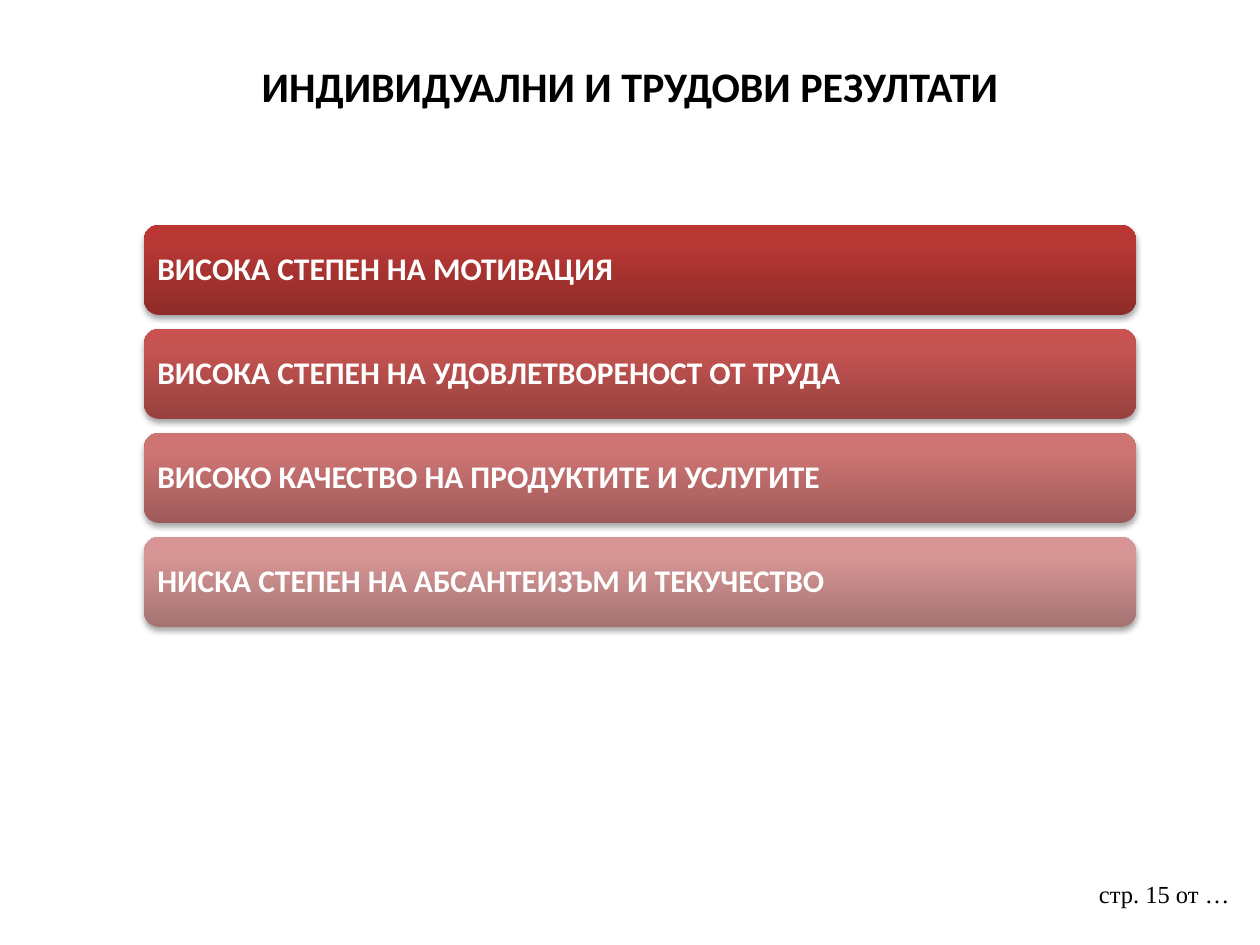
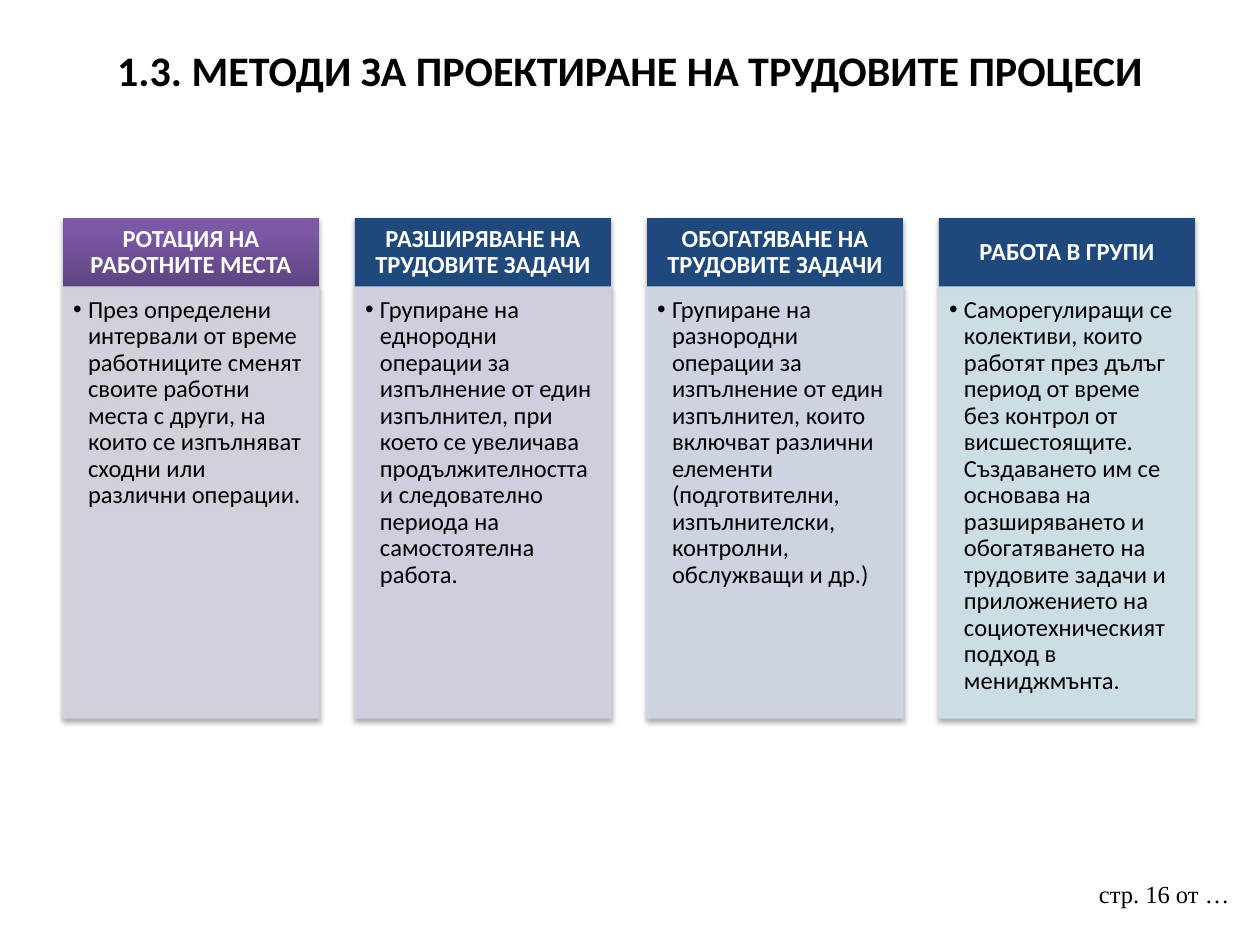
from copy import deepcopy
from dataclasses import dataclass

from lxml.etree import SubElement
from pptx import Presentation
from pptx.dml.color import RGBColor
from pptx.enum.shapes import MSO_SHAPE as Preset
from pptx.enum.text import MSO_ANCHOR as Anchor, PP_ALIGN as Align
from pptx.oxml.ns import qn
from pptx.util import Emu, Pt

EMU_PER_PX = 914400 / 126


@dataclass(frozen=True)
class Theme:
    heading_font: str = "Calibri"
    page_font: str = "Times New Roman"
    black: str = "000000"
    white: str = "FFFFFF"
    navy: str = "1F497D"
    purple: tuple = ("5F4480", "7B58A6", "7C57A8")
    reds: tuple = (
        ("8E2B28", "B83835", "BB3632"),
        ("98413F", "C55451", "C95250"),
        ("9E5A59", "CE7574", "D07472"),
        ("A57373", "D79695", "D99594"),
    )
    tints: tuple = ("D8D3E0", "D2D2E4", "D1D8E7", "D0E3EA")
    title_size: int = 24
    result_size: int = 18
    method_size: int = 14
    page_size: int = 14
    line_spacing: float = 0.9
    tint_opacity: int = 90


THEME = Theme()

RESULTS = (
    "ВИСОКА СТЕПЕН НА МОТИВАЦИЯ",
    "ВИСОКА СТЕПЕН НА УДОВЛЕТВОРЕНОСТ ОТ ТРУДА",
    "ВИСОКО КАЧЕСТВО НА ПРОДУКТИТЕ И УСЛУГИТЕ",
    "НИСКА СТЕПЕН НА АБСАНТЕИЗЪМ И ТЕКУЧЕСТВО",
)

METHODS = (
    ("РОТАЦИЯ НА РАБОТНИТЕ МЕСТА",
     "През определени интервали от време работниците сменят своите работни "
     "места с други, на които се изпълняват сходни или различни операции."),
    ("РАЗШИРЯВАНЕ НА ТРУДОВИТЕ ЗАДАЧИ",
     "Групиране на еднородни операции за изпълнение от един изпълнител, при "
     "което се увеличава продължителността и следователно периода на "
     "самостоятелна работа."),
    ("ОБОГАТЯВАНЕ НА ТРУДОВИТЕ ЗАДАЧИ",
     "Групиране на разнородни операции за изпълнение от един изпълнител, които "
     "включват различни елементи (подготвителни, изпълнителски, контролни, "
     "обслужващи и др.)"),
    ("РАБОТА В ГРУПИ",
     "Саморегулиращи се колективи, които работят през дълъг период от време "
     "без контрол от висшестоящите. Създаването им се основава на "
     "разширяването и обогатяването на трудовите задачи и приложението на "
     "социотехническият подход в мениджмънта."),
)


def px(length):
    return Emu(round(length * EMU_PER_PX))


def rgb(color):
    return RGBColor.from_string(color)


def write(holder, text, size, color=THEME.black, font=THEME.heading_font, bold=False,
          align=Align.LEFT, anchor=Anchor.TOP, insets=(13, 6, 13, 6),
          spacing=1.0, bulleted=False):
    frame = holder.text_frame
    frame.word_wrap = True
    frame.vertical_anchor = anchor
    (frame.margin_left, frame.margin_top,
     frame.margin_right, frame.margin_bottom) = map(px, insets)
    paragraph = frame.paragraphs[0]
    if bulleted:
        add_bullet(paragraph)
    paragraph.alignment = align
    paragraph.line_spacing = spacing
    run = paragraph.add_run()
    run.text = text
    run.font.name = font
    run.font.size = Pt(size)
    run.font.bold = bold
    run.font.color.rgb = rgb(color)


def add_bullet(paragraph, hang=15):
    properties = paragraph._p.get_or_add_pPr()
    properties.set("marL", str(px(hang)))
    properties.set("indent", str(-px(hang)))
    SubElement(properties, qn("a:buFont"), typeface="Arial")
    SubElement(properties, qn("a:buChar"), char="•")


def add_shadow(panel):
    panel.shadow.inherit = False
    effects = panel._element.spPr.find(qn("a:effectLst"))
    shadow = SubElement(effects, qn("a:outerShdw"), blurRad=str(Pt(3.1)),
                        dist=str(Pt(1.8)), dir="5400000", rotWithShape="0")
    color = SubElement(shadow, qn("a:srgbClr"), val=THEME.black)
    SubElement(color, qn("a:alpha"), val="35000")


def fill_gradient(panel, colors):
    panel.fill.gradient()
    panel.fill.gradient_angle = 90
    stops = panel._element.spPr.find(qn("a:gradFill")).find(qn("a:gsLst"))
    stops.append(deepcopy(stops[-1]))
    for stop, color, position in zip(panel.fill.gradient_stops, colors, (0, 0.8, 1)):
        stop.color.rgb = rgb(color)
        stop.position = position


def make_translucent(panel, opacity):
    for color in panel._element.spPr.iter(qn("a:srgbClr")):
        SubElement(color, qn("a:alpha"), val=str(opacity * 1000))


def add_panel(slide, preset, box, paint):
    panel = slide.shapes.add_shape(preset, *map(px, box))
    if isinstance(paint, tuple):
        fill_gradient(panel, paint)
    else:
        panel.fill.solid()
        panel.fill.fore_color.rgb = rgb(paint)
    panel.line.fill.background()
    return panel


def add_label(slide, box, text, size, **style):
    write(slide.shapes.add_textbox(*map(px, box)), text, size, **style)


def add_page(deck, title, title_top, title_height, number):
    slide = deck.slides.add_slide(deck.slide_layouts[6])
    add_label(slide, (1086, 873, 164, 66), f"стр. {number} от …",
              THEME.page_size, font=THEME.page_font)
    add_label(slide, (63, title_top, 1134, title_height), title,
              THEME.title_size, bold=True, align=Align.CENTER)
    return slide


def add_result(slide, top, text, reds):
    bar = add_panel(slide, Preset.ROUNDED_RECTANGLE, (144, top, 992, 90), reds)
    add_shadow(bar)
    write(bar, text, THEME.result_size, THEME.white, bold=True,
          anchor=Anchor.MIDDLE, insets=(9, 9, 9, 9), spacing=THEME.line_spacing)


def add_method(slide, left, name, description, heading_paint, tint):
    width = 256
    heading = add_panel(slide, Preset.RECTANGLE, (left, 218, width, 69), heading_paint)
    add_shadow(heading)
    write(heading, name, THEME.method_size, THEME.white, bold=True,
          align=Align.CENTER, anchor=Anchor.MIDDLE, insets=(14, 8, 14, 8),
          spacing=THEME.line_spacing)

    body = add_panel(slide, Preset.RECTANGLE, (left, 287, width, 431), tint)
    body.line.color.rgb = rgb(tint)
    body.line.width = Pt(0.75)
    make_translucent(body, THEME.tint_opacity)
    add_shadow(body)
    write(body, description, THEME.method_size, insets=(10, 10, 14, 15),
          spacing=THEME.line_spacing, bulleted=True)


def build_results(deck):
    slide = add_page(deck, "ИНДИВИДУАЛНИ И ТРУДОВИ РЕЗУЛТАТИ", 55, 140, 15)
    for row, (text, reds) in enumerate(zip(RESULTS, THEME.reds)):
        add_result(slide, 225 + row * 104, text, reds)


def build_methods(deck):
    slide = add_page(deck, "1.3. МЕТОДИ ЗА ПРОЕКТИРАНЕ НА ТРУДОВИТЕ ПРОЦЕСИ", 38, 157, 16)
    for column, ((name, description), tint) in enumerate(zip(METHODS, THEME.tints)):
        heading_paint = THEME.navy if column else THEME.purple
        add_method(slide, 63 + column * 292, name, description, heading_paint, tint)


def main():
    deck = Presentation()
    deck.slide_width, deck.slide_height = px(1260), px(945)
    build_results(deck)
    build_methods(deck)
    deck.save("out.pptx")


if __name__ == "__main__":
    main()
